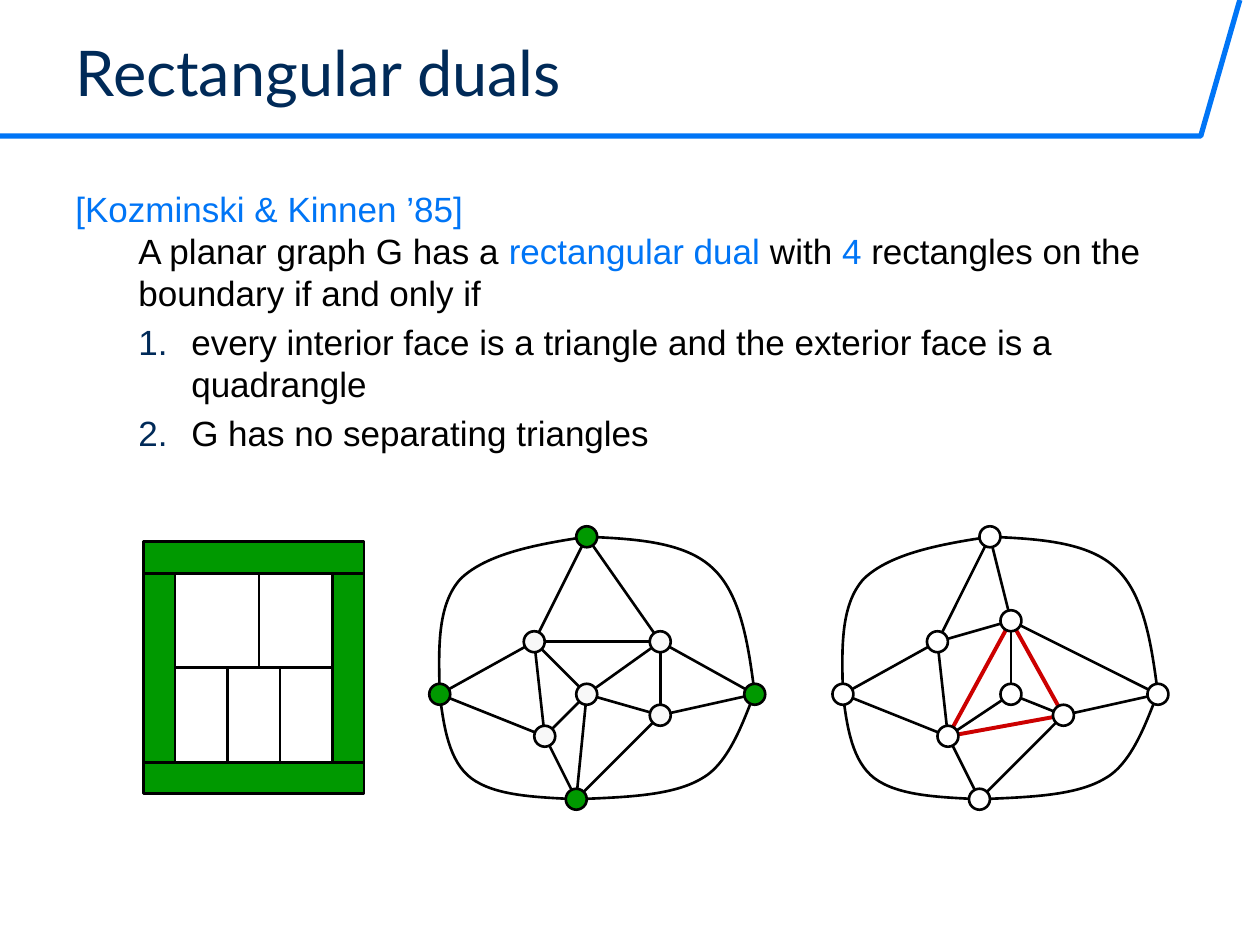
import pptx
import pptx.util
import pptx.dml.color
import pptx.enum.shapes
import pptx.enum.text
import pptx.oxml.ns
import lxml.etree

Inches, Pt = pptx.util.Inches, pptx.util.Pt
SHAPES = pptx.enum.shapes.MSO_SHAPE
UNIT = 1 / 12
BLUE, NAVY, BLACK, WHITE = "0075F6", "002A58", "000000", "FFFFFF"
GREEN, GREY, RED = "009900", "F8F8F8", "CC0000"

OUTER = {"left": (0, 15), "top": (14, 0), "right": (30, 15), "base": (13, 25)}
INNER = {"a": (9, 10), "b": (21, 10), "c": (14, 15), "d": (21, 17), "e": (10, 19)}
EDGES = ["base e", "base c", "a left", "left e", "a top", "top b", "d base",
         "d right", "right b", "c e", "e a", "c a", "b a", "b c", "c d", "d b"]
MOVED = {**INNER, "b": (16, 8), "c": (16, 15)}
LINKS = ["base e", "e a", "a left", "left e", "c e", "a top", "top b", "b a",
         "b c", "c d", "d base", "d right", "right b"]
CYCLE = ["e d", "b e", "d b"]
ARCS = [
    [(13, 25), (17.6, 24.8), (22.2, 24.7), (25, 23), (27.9, 21.4), (29.3, 16.3), (30, 15)],
    [(30, 15), (29.4, 10.3), (28.7, 5.5), (26, 3), (23.4, 0.5), (18.7, 0.2), (14, 0)],
    [(14, 0), (9.3, 0.7), (4.5, 1.6), (2, 4), (-0.3, 6.5), (-0.1, 10.8), (0, 15)],
    [(0, 15), (0.4, 18.2), (0.9, 21.4), (3, 23), (5.3, 24.7), (9.2, 24.8), (13, 25)],
]
TILES = [
    (3, 12, 5, 9, WHITE), (8, 12, 5, 9, WHITE), (13, 12, 5, 9, WHITE),
    (11, 3, 7, 9, WHITE), (3, 3, 8, 9, WHITE),
    (0, 0, 21, 3, GREEN), (0, 3, 3, 18, GREEN),
    (18, 3, 3, 18, GREEN), (0, 21, 21, 3, GREEN),
]


def paint(item, color):
    item.color.rgb = pptx.dml.color.RGBColor.from_string(color)


def stroke(shape, color=BLACK, width=1.5):
    paint(shape.line, color)
    shape.line.width = Pt(width)


def place(box, x, y):
    return Inches(box[0] + x * UNIT), Inches(box[1] + y * UNIT)


def draw(parts, kind, box, x, y, wide, high, color):
    size = Inches(wide * UNIT), Inches(high * UNIT)
    shape = parts.add_shape(kind, *place(box, x, y), *size)
    shape.shadow.inherit = False
    shape.fill.solid()
    shape.fill.fore_color.rgb = pptx.dml.color.RGBColor.from_string(color)
    stroke(shape)


def join(parts, box, start, end, color, width):
    kind = pptx.enum.shapes.MSO_CONNECTOR.STRAIGHT
    line = parts.add_connector(kind, *place(box, *start), *place(box, *end))
    stroke(line, color, width)
    lxml.etree.SubElement(line._element.spPr, pptx.oxml.ns.qn("a:effectLst"))


def trace(parts, points, color=BLACK, width=1.5):
    pen = parts.build_freeform(*points[0])
    pen.add_line_segments(points[1:], close=False)
    shape = pen.convert_to_shape()
    shape.shadow.inherit = False
    shape.fill.background()
    stroke(shape, color, width)
    return shape


def bend(shape):
    steps = list(shape._element.iter(pptx.oxml.ns.qn("a:lnTo")))
    route = steps[0].getparent()
    for first in range(0, len(steps), 3):
        curve = lxml.etree.SubElement(route, pptx.oxml.ns.qn("a:cubicBezTo"))
        for step in steps[first:first + 3]:
            curve.append(step[0])
            route.remove(step)


def set_box(shape, box):
    shape.left, shape.top, shape.width, shape.height = map(Inches, box)


def head(slide, box):
    title = slide.shapes.title
    set_box(title, box)
    frame = title.text_frame
    frame.text = "Rectangular duals"
    frame.auto_size = pptx.enum.text.MSO_AUTO_SIZE.NONE
    frame.vertical_anchor = pptx.enum.text.MSO_ANCHOR.BOTTOM
    frame.paragraphs[0].alignment = pptx.enum.text.PP_ALIGN.LEFT
    font = frame.paragraphs[0].runs[0].font
    font.name, font.size = "Lato", Pt(36)
    paint(font, NAVY)


def border(slide, box):
    left, top, wide, high = box
    points = [(left, top + high), (left + 9.53, top + high), (left + wide, top)]
    trace(slide.shapes, [(Inches(x), Inches(y)) for x, y in points], BLUE, 3)


def indent(para, left, hang):
    props = para._p.get_or_add_pPr()
    props.set("marL", str(Inches(left)))
    props.set("indent", str(-Inches(hang)))
    return props


def number(para):
    para.level = 1
    para.space_before = Pt(4)
    props = indent(para, 0.92, 0.42)
    color = lxml.etree.SubElement(props, pptx.oxml.ns.qn("a:buClr"))
    lxml.etree.SubElement(color, pptx.oxml.ns.qn("a:srgbClr"), val=NAVY)
    lxml.etree.SubElement(props, pptx.oxml.ns.qn("a:buFont"), typeface="Arial")
    lxml.etree.SubElement(props, pptx.oxml.ns.qn("a:buAutoNum"), type="arabicPeriod")


def write(para, text, color=BLACK):
    run = para.add_run()
    run.text = text
    run.font.name, run.font.size = "Arial", Pt(20)
    paint(run.font, color)


def claim(slide, box):
    frame = slide.shapes.add_textbox(*map(Inches, box)).text_frame
    frame.word_wrap = True
    para = frame.paragraphs[0]
    para.line_spacing = Pt(24)
    indent(para, 0.5, 0.5)
    write(para, "[Kozminski & Kinnen ’85]", BLUE)
    para.add_line_break()
    for text, color in [("A planar graph G has a ", BLACK), ("rectangular dual", BLUE),
                        (" with ", BLACK), ("4", BLUE),
                        (" rectangles on the boundary if and only if", BLACK)]:
        write(para, text, color)
    for text in ["every interior face is a triangle and the exterior face is a quadrangle",
                 "G has no separating triangles"]:
        para = frame.add_paragraph()
        para.line_spacing = Pt(24)
        number(para)
        write(para, text)


def dual(slide, box):
    parts = slide.shapes.add_group_shape().shapes
    for tile in TILES:
        draw(parts, SHAPES.RECTANGLE, box, *tile)


def graph(slide, box, inner, edges, cycle, rim, core):
    parts = slide.shapes.add_group_shape().shapes
    nodes = {**OUTER, **inner}
    for pairs, color, width in [(cycle, RED, 2.25), (edges, BLACK, 1.5)]:
        for pair in pairs:
            start, end = pair.split()
            join(parts, box, nodes[start], nodes[end], color, width)
    for arc in ARCS:
        bend(trace(parts, [place(box, *point) for point in arc]))
    for name, (x, y) in nodes.items():
        color = rim if name in OUTER else core
        draw(parts, SHAPES.OVAL, box, x - 1, y - 1, 2, 2, color)


def main():
    deck = pptx.Presentation()
    deck.slide_width, deck.slide_height = Inches(10), Inches(7.5)
    slide = deck.slides.add_slide(deck.slide_layouts.get_by_name("Title Only"))
    border(slide, (0, 0, 9.84, 1.08))
    head(slide, (0.5, 0.21, 9.28, 0.71))
    claim(slide, (0.5, 1.44, 9.24, 2.47))
    dual(slide, (1.14, 4.3))
    graph(slide, (3.49, 4.26), INNER, EDGES, [], GREEN, GREY)
    graph(slide, (6.69, 4.26), MOVED, LINKS, CYCLE, WHITE, WHITE)
    deck.save("out.pptx")


if __name__ == "__main__":
    main()
